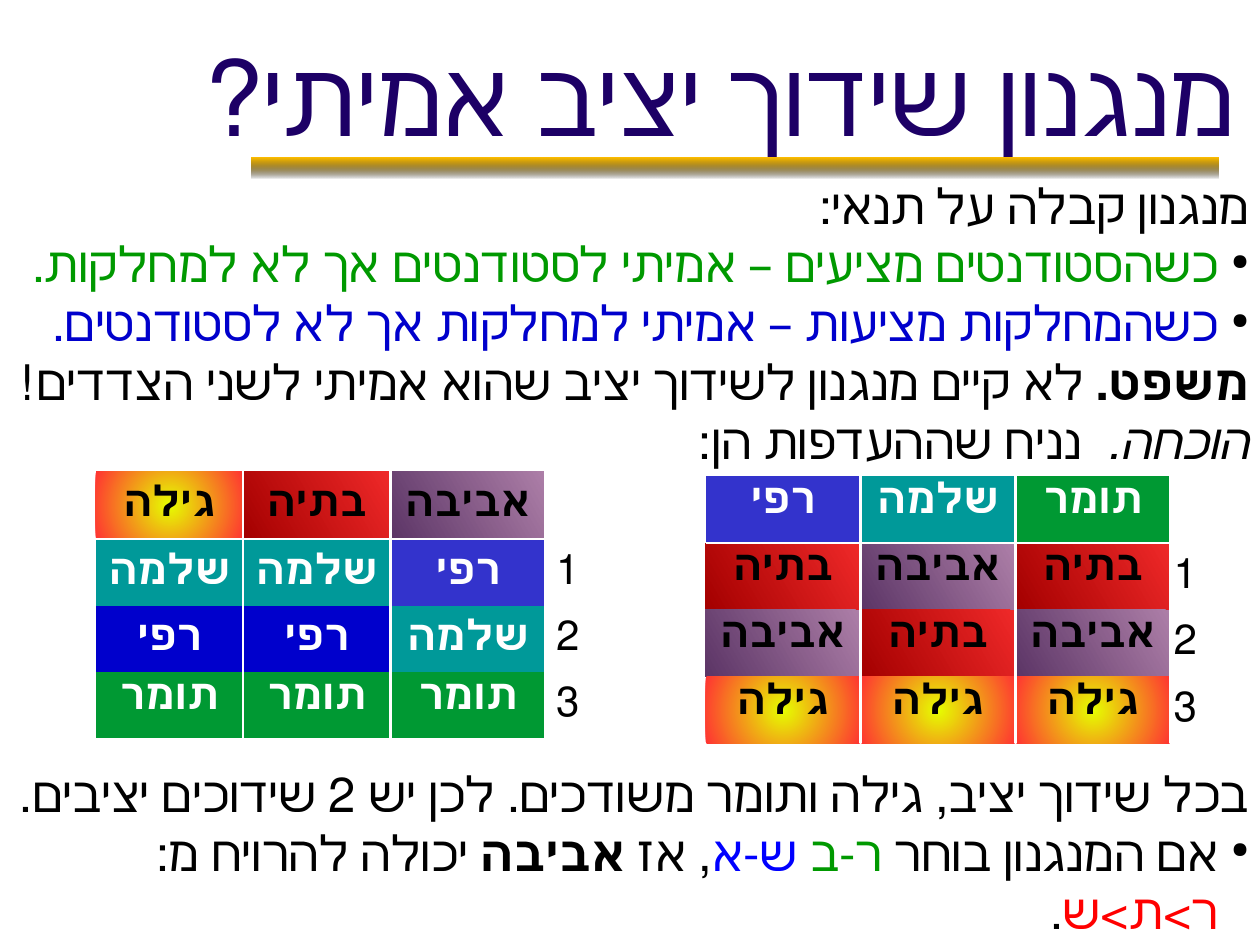
from lxml import etree
from pptx import Presentation
from pptx.dml.color import RGBColor
from pptx.enum import shapes, text
from pptx.oxml import parse_xml
from pptx.oxml.ns import nsdecls, qn
from pptx.util import Inches, Pt

NAVY = RGBColor(0x1D, 0x00, 0x66)
BLACK = RGBColor(0x00, 0x00, 0x00)
WHITE = RGBColor(0xFF, 0xFF, 0xFF)
GREEN = RGBColor(0x00, 0x99, 0x00)
BLUE = RGBColor(0x00, 0x00, 0xCC)
BRIGHT_BLUE = RGBColor(0x00, 0x00, 0xFF)
RED = RGBColor(0xFF, 0x00, 0x00)
GOLD = RGBColor(0xFF, 0xBF, 0x00)
INDIGO = RGBColor(0x33, 0x33, 0xCC)
TEAL = RGBColor(0x00, 0x99, 0x99)
DARK_GREEN = RGBColor(0x00, 0x99, 0x33)
LIGHT_RED = RGBColor(0xEF, 0x29, 0x29)
DARK_RED = RGBColor(0xA4, 0x00, 0x00)
LIGHT_PLUM = RGBColor(0xAD, 0x7F, 0xA8)
DARK_PLUM = RGBColor(0x5C, 0x35, 0x66)
YELLOW = RGBColor(0xE6, 0xFF, 0x00)
CORAL = RGBColor(0xFF, 0x33, 0x33)
LINEAR = '<a:lin ang="{}" scaled="0"/>'
RADIAL = '<a:path path="circle"><a:fillToRect l="50000" t="50000" r="50000" b="50000"/></a:path>'
NO_STYLE = "{2D5ABB26-0587-4C30-8999-92F81FD0307C}"


def add_run(p, words, font, size, color, bold=False, italic=False):
    r = p.add_run()
    r.text = words
    r.font.name = font
    r.font.size = Pt(size)
    r.font.color.rgb = color
    r.font.bold = bold
    r.font.italic = italic


def set_gradient(props, start, end, direction, alpha=100):
    grad = parse_xml(
        f'<a:gradFill {nsdecls("a")} rotWithShape="1"><a:gsLst>'
        f'<a:gs pos="0"><a:srgbClr val="{start}"><a:alpha val="{alpha * 1000}"/></a:srgbClr></a:gs>'
        f'<a:gs pos="100000"><a:srgbClr val="{end}"/></a:gs></a:gsLst>{direction}</a:gradFill>')
    props.replace(props.find(qn("a:noFill")), grad)


prs = Presentation()
prs.slide_width = Inches(10)
prs.slide_height = Inches(7.5)
s = prs.slides.add_slide(prs.slide_layouts[6])

for _ in range(2):
    sp = s.shapes.add_shape(shapes.MSO_SHAPE.RECTANGLE, Inches(2), Inches(1.25), Inches(7.67), Inches(0.17))
    sp.shadow.inherit = False
    sp.line.fill.background()
    sp.fill.background()
    set_gradient(sp._element.spPr, BLACK, GOLD, LINEAR.format(270 * 60000), alpha=0)

title = s.shapes.add_textbox(Inches(0), Inches(0.25), Inches(9.9), Inches(1))
tf = title.text_frame
tf.word_wrap = True
tf.vertical_anchor = text.MSO_ANCHOR.MIDDLE
p = tf.paragraphs[0]
p.alignment = text.PP_ALIGN.RIGHT
p._p.get_or_add_pPr().set("rtl", "1")
add_run(p, "מנגנון שידוך יציב אמיתי?", "Arial", 60, NAVY)

body = [
    (False, 0, [("מנגנון קבלה על תנאי:", BLACK)]),
    (True, 0, [("כשהסטודנטים מציעים – אמיתי לסטודנטים אך לא למחלקות.", GREEN)]),
    (True, 0, [("כשהמחלקות מציעות – אמיתי למחלקות אך לא לסטודנטים.", BLUE)]),
    (False, 0, [("משפט.", BLACK, True), (" לא קיים מנגנון לשידוך יציב שהוא אמיתי לשני הצדדים!", BLACK)]),
    (False, 0, [("הוכחה.", BLACK, False, True), ("  נניח שההעדפות הן:", BLACK)]),
    (False, 168, [("בכל שידוך יציב, גילה ותומר משודכים. לכן יש 2 שידוכים יציבים.", BLACK)]),
    (True, 0, [("אם המנגנון בוחר ", BLACK), ("ר-ב ", GREEN), ("ש-א", BRIGHT_BLUE), (", אז ", BLACK),
               ("אביבה", BLACK, True), (" יכולה להרויח מ: ", BLACK), ("ר>ת>ש", RED), (".", BLACK)]),
]
tf = s.shapes.add_textbox(Inches(0.01), Inches(1.34), Inches(10), Inches(6.16)).text_frame
tf.word_wrap = True
for i, (bulleted, gap, runs) in enumerate(body):
    p = tf.add_paragraph() if i else tf.paragraphs[0]
    p.alignment = text.PP_ALIGN.RIGHT
    pPr = p._p.get_or_add_pPr()
    pPr.set("rtl", "1")
    if gap:
        p.space_before = Pt(gap)
    if bulleted:
        pPr.set("marL", str(Inches(0.24)))
        pPr.set("indent", str(Inches(-0.24)))
        color = etree.SubElement(pPr, qn("a:buClr"))
        etree.SubElement(color, qn("a:srgbClr")).set("val", str(BLACK))
        etree.SubElement(pPr, qn("a:buSzPct")).set("val", "45000")
        etree.SubElement(pPr, qn("a:buChar")).set("char", "●")
    for run in runs:
        add_run(p, run[0], "Lato", 28, *run[1:])

solid = {"רפי": INDIGO, "שלמה": TEAL, "תומר": DARK_GREEN}
gradients = {
    "בתיה": (LIGHT_RED, DARK_RED, LINEAR.format(150 * 60000)),
    "אביבה": (LIGHT_PLUM, DARK_PLUM, LINEAR.format(150 * 60000)),
    "גילה": (YELLOW, CORAL, RADIAL),
}
top, middle = text.MSO_ANCHOR.TOP, text.MSO_ANCHOR.MIDDLE
center, right = text.PP_ALIGN.CENTER, text.PP_ALIGN.RIGHT
tables = [
    (5.6, 3.78, [1.23, 1.23, 1.23, 0.31], [0.53] * 4, [top] * 4, center, {}, [],
     [["רפי", "שלמה", "תומר", ""],
      ["בתיה", "אביבה", "בתיה", "1"],
      ["אביבה", "בתיה", "אביבה", "2"],
      ["גילה", "גילה", "גילה", "3"]]),
    (0.76, 3.74, [1.17, 1.17, 1.23, 0.37], [0.54, 0.53, 0.52, 0, 0.53], [middle] * 4 + [top], right,
     {(2, 0): BLUE, (2, 1): BLUE}, [(2, 0), (2, 1), (2, 2), (3, 3)],
     [["גילה", "בתיה", "אביבה", ""],
      ["שלמה", "שלמה", "רפי", "1"],
      ["רפי", "רפי", "שלמה", "2"],
      ["", "", "", "3"],
      ["תומר", "תומר", "תומר", ""]]),
]
for left, y, widths, heights, anchors, rank_align, special, merges, names in tables:
    frame = s.shapes.add_table(len(names), 4, Inches(left), Inches(y), Inches(sum(widths)), Inches(sum(heights)))
    table = frame.table
    table.first_row = table.horz_banding = False
    table._tbl.tblPr.find(qn("a:tableStyleId")).text = NO_STYLE
    for column, width in zip(table.columns, widths):
        column.width = Inches(width)
    for row, height in zip(table.rows, heights):
        row.height = Inches(height)
    for i, j in merges:
        table.cell(i, j).merge(table.cell(i + 1, j))
    for i, row in enumerate(names):
        for j, name in enumerate(row):
            cell = table.cell(i, j)
            is_rank = j == 3
            cell.vertical_anchor = middle if is_rank else anchors[i]
            cell.fill.background()
            tcPr = cell._tc.tcPr
            if name in solid:
                cell.fill.solid()
                cell.fill.fore_color.rgb = special.get((i, j), solid[name])
            elif name in gradients:
                set_gradient(tcPr, *gradients[name])
            sides = [("lnL", j in (1, 2)), ("lnR", j in (0, 1)), ("lnB", i == 0 and not is_rank)]
            for k, side in enumerate(side for side, drawn in sides if drawn):
                tcPr.insert(k, parse_xml(
                    f'<a:{side} {nsdecls("a")} w="{Pt(1.47)}"><a:solidFill>'
                    f'<a:srgbClr val="{WHITE}"/></a:solidFill></a:{side}>'))
            p = cell.text_frame.paragraphs[0]
            p.alignment = rank_align if is_rank else center
            p.line_spacing = 0.93
            p._p.get_or_add_pPr().set("rtl", "1")
            if name:
                add_run(p, name, "Arial", 24, WHITE if name in solid else BLACK, bold=not is_rank)

prs.save("out.pptx")
